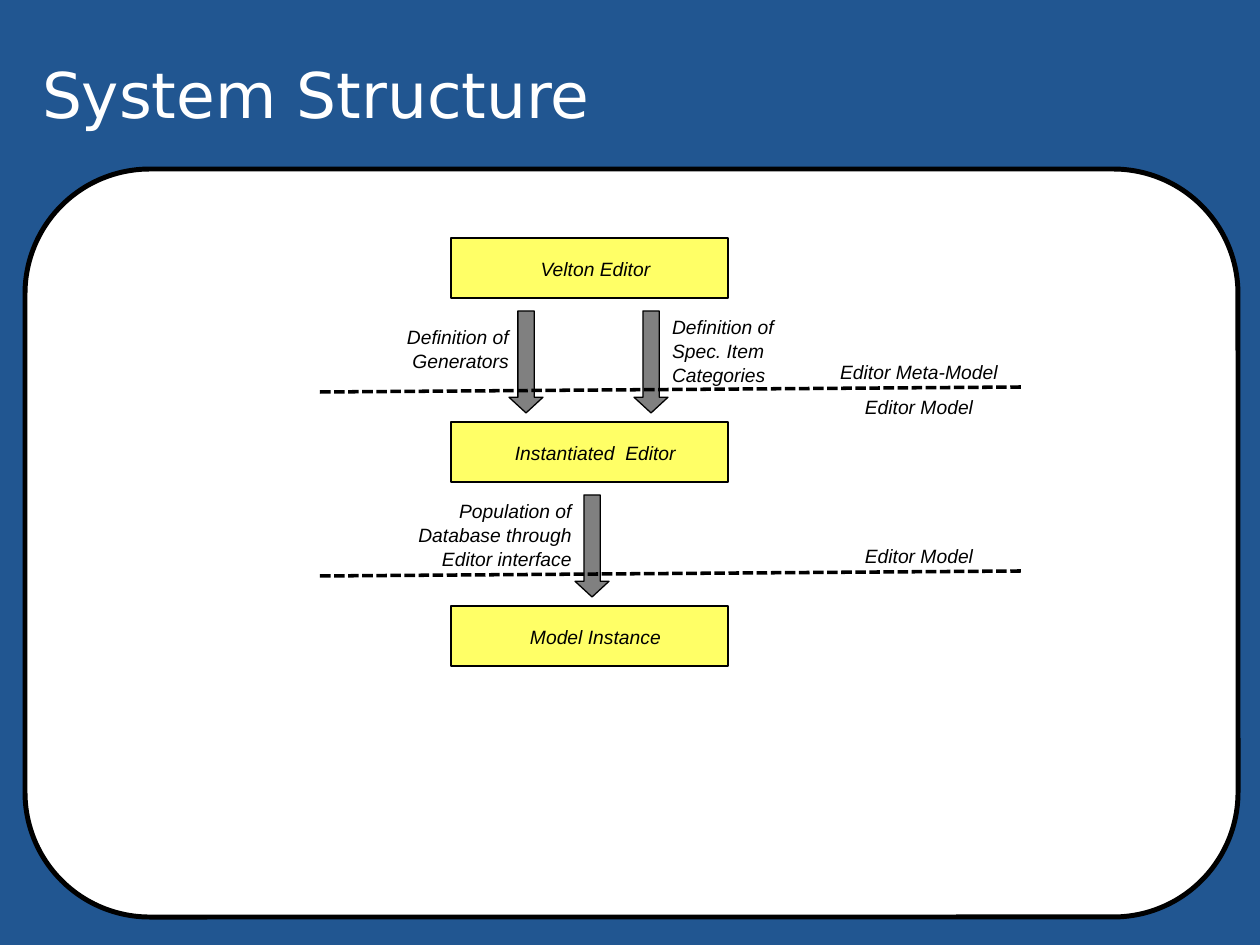
from lxml.etree import SubElement
from pptx import Presentation
from pptx.dml.color import RGBColor
from pptx.enum.dml import MSO_LINE
from pptx.enum.shapes import MSO_CONNECTOR, MSO_SHAPE
from pptx.enum.text import MSO_ANCHOR, PP_ALIGN
from pptx.oxml.ns import qn
from pptx.util import Emu, Pt

BLUE = RGBColor(0x21, 0x56, 0x91)
WHITE = RGBColor(0xFF, 0xFF, 0xFF)
BLACK = RGBColor(0, 0, 0)
YELLOW = RGBColor(0xFF, 0xFF, 0x66)
GRAY = RGBColor(0x80, 0x80, 0x80)

SCALE = 914400 / 126
STEP = 184  # from one stage to the next
LEFT, RIGHT, CENTER = PP_ALIGN.LEFT, PP_ALIGN.RIGHT, PP_ALIGN.CENTER


def px(*vals):
    return [Emu(round(val * SCALE)) for val in vals]


def add_shape(slide, kind, box, fill, width=0):
    shape = slide.shapes.add_shape(kind, *px(*box))
    shape.shadow.inherit = False
    shape.fill.solid()
    shape.fill.fore_color.rgb = fill
    shape.line.color.rgb = BLACK
    shape.line.width = Pt(width)
    return shape


def set_text(shape, lines, align, size=11, name="Arial", color=BLACK,
             italic=True, spacing=1.05, inset=0):
    frame = shape.text_frame
    frame.word_wrap = False
    frame.margin_left, = px(inset)
    frame.margin_top = frame.margin_right = frame.margin_bottom = 0
    frame.text = "\n".join(lines)
    for para in frame.paragraphs:
        para.alignment = align
        para.line_spacing = spacing
        font = para.font
        font.size, font.name, font.italic = Pt(size), name, italic
        font.color.rgb = color
    return frame


def add_label(slide, box, lines, align):
    set_text(slide.shapes.add_textbox(*px(*box)), lines, align)


def add_title(slide, box, text):
    shape = slide.shapes.add_textbox(*px(*box))
    frame = set_text(shape, [text], LEFT, 36, "DejaVu Sans", WHITE, False, 1)
    frame.vertical_anchor = MSO_ANCHOR.MIDDLE


def add_stage(slide, box, text):
    shape = add_shape(slide, MSO_SHAPE.RECTANGLE, box, YELLOW)
    frame = set_text(shape, [text], CENTER, inset=12)
    frame.vertical_anchor = MSO_ANCHOR.MIDDLE


def add_arrow(slide, mid, top):
    long, thick = 102, 34
    box = (mid - long / 2, top + (long - thick) / 2, long, thick)
    arrow = add_shape(slide, MSO_SHAPE.RIGHT_ARROW, box, GRAY)
    arrow.rotation = 90
    arrow.adjustments[0], arrow.adjustments[1] = 0.48, 0.46


def add_border(slide, left, top, width, rise):
    line = slide.shapes.add_connector(
        MSO_CONNECTOR.STRAIGHT, *px(left, top, left + width, top - rise))
    line.line.color.rgb = BLACK
    line.line.width = Pt(0)
    line.line.dash_style = MSO_LINE.SQUARE_DOT
    SubElement(line._element.spPr, qn("a:effectLst"))


def add_step(slide, left, top, arrows, notes, levels):
    """Arrows, their notes and the model border between two stages."""
    for mid in arrows:
        add_arrow(slide, left + mid, top)
    for x, y, width, lines, align in notes:
        box = (left + x, top + y, width, 24 * len(lines))
        add_label(slide, box, lines, align)
    add_border(slide, left, top + 81, 703, 5)
    for row, level in enumerate(levels):
        box = (left + 507, top + 48 + 35 * row, 184, 23)
        add_label(slide, box, [level], CENTER)


def add_chain(slide, left, top):
    for row, text in enumerate(
            ["Velton Editor", "Instantiated  Editor", "Model Instance"]):
        add_stage(slide, (left + 131, top + row * STEP, 277, 60), text)
    gap = top + 73
    add_step(slide, left, gap, [206, 331], [
        (79, 13, 110, ["Definition of", "Generators"], RIGHT),
        (352, 3, 110, ["Definition of", "Spec. Item", "Categories"], LEFT),
    ], ["Editor Meta-Model", "Editor Model"])
    add_step(slide, left, gap + STEP, [272], [
        (98, 3, 154, ["Population of", "Database through",
                      "Editor interface"], RIGHT),
    ], ["Editor Model"])


def main():
    deck = Presentation()
    deck.slide_width, deck.slide_height = px(1260, 945)
    slide = deck.slides.add_slide(deck.slide_layouts[6])
    slide.background.fill.solid()
    slide.background.fill.fore_color.rgb = BLUE

    # White panel and title
    add_shape(slide, MSO_SHAPE.ROUNDED_RECTANGLE, (25, 169, 1213, 748),
              WHITE, 2.83)
    add_title(slide, (42, 14, 874, 158), "System Structure")

    # Diagram
    add_chain(slide, 320, 238)
    deck.save("out.pptx")


if __name__ == "__main__":
    main()
